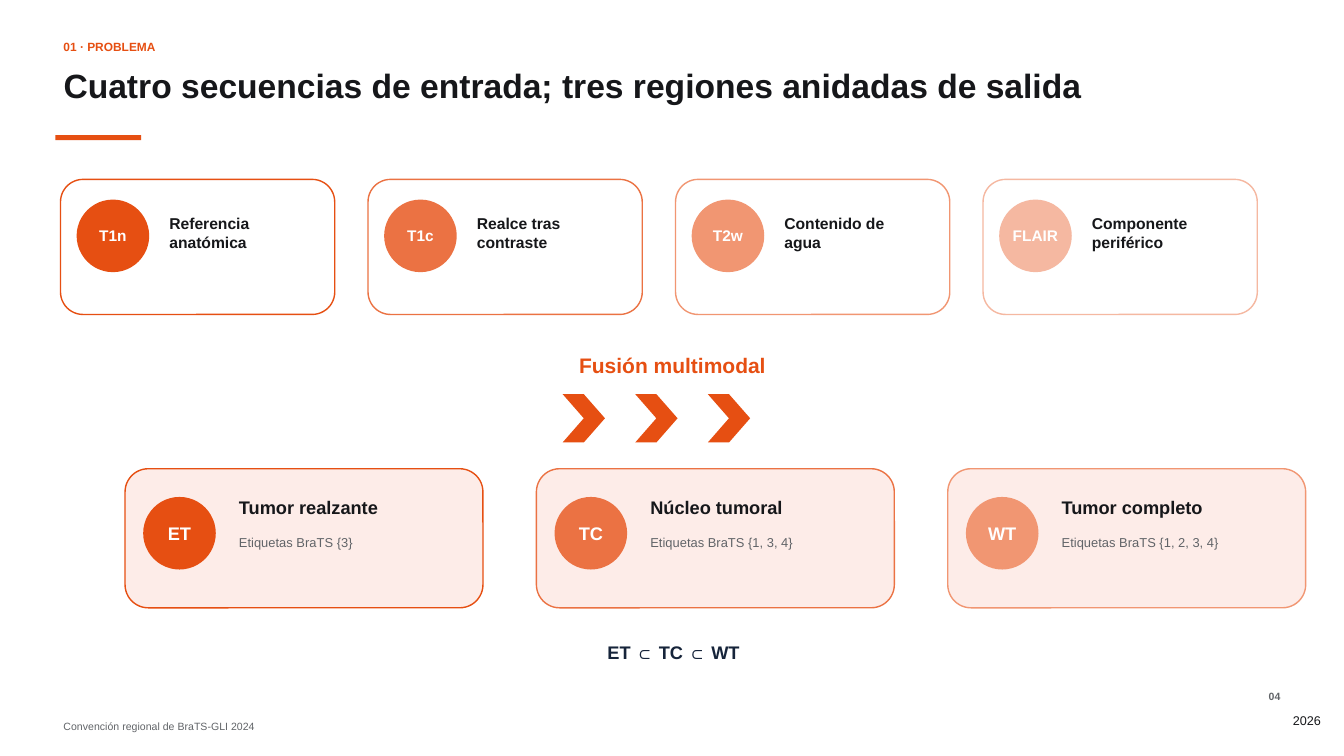
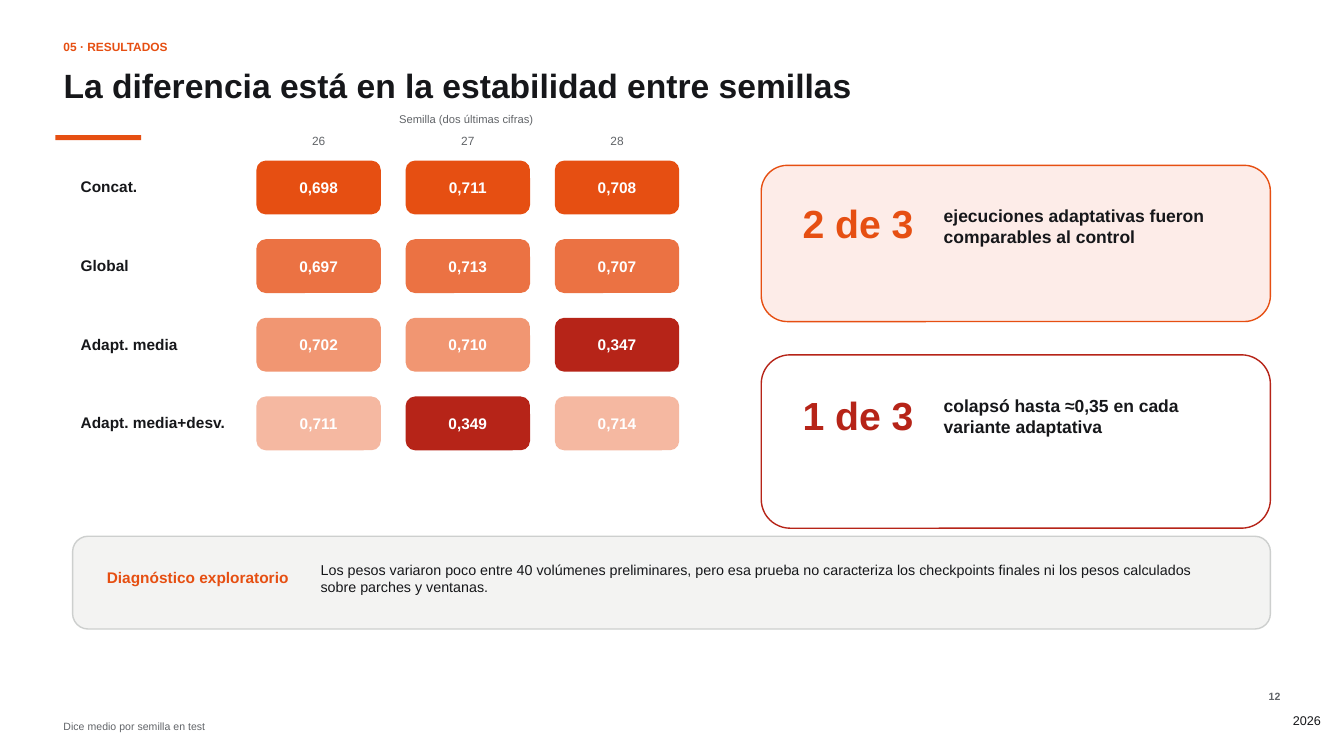
from dataclasses import dataclass

from pptx import Presentation
from pptx.dml.color import RGBColor
from pptx.enum.shapes import MSO_SHAPE
from pptx.enum.text import MSO_ANCHOR, MSO_AUTO_SIZE, PP_ALIGN
from pptx.util import Pt

SCALE = 9144  # EMU in one px, 100 px to the inch
FONT = "Arial"
HEX = {
    "ink": "16171A",
    "navy": "16243A",
    "gray": "616468",
    "edge": "CDCFCE",
    "pale": "F3F3F2",
    "white": "FFFFFF",
    "blush": "FDECE8",
    "red": "B62418",
    "tint1": "E64F12",
    "tint2": "EB7243",
    "tint3": "F19672",
    "tint4": "F5B8A1",
}
TINTS = ["tint1", "tint2", "tint3", "tint4"]
LEFT, MID, RIGHT = PP_ALIGN.LEFT, PP_ALIGN.CENTER, PP_ALIGN.RIGHT


@dataclass(frozen=True)
class Box:
    x: int
    y: int
    w: int
    h: int

    def emu(self) -> list[int]:
        return [n * SCALE for n in (self.x, self.y, self.w, self.h)]


@dataclass(frozen=True)
class Style:
    size: float
    color: str = "ink"
    bold: bool = True
    align: PP_ALIGN = LEFT
    middle: bool = False
    inset: int = 8


@dataclass(frozen=True)
class Input:
    code: str
    label: str


@dataclass(frozen=True)
class Region:
    code: str
    name: str
    tags: str


@dataclass(frozen=True)
class Method:
    name: str
    scores: tuple[float, ...]


@dataclass(frozen=True)
class Finding:
    y: int
    h: int
    count_y: int
    note_y: int
    count: str
    note: str
    color: str
    fill: str


KICKER = Style(8.5, "tint1")
TITLE = Style(24)
FOOT = Style(7.5, "gray", False)
PAGE = Style(7.5, "gray", align=RIGHT)
YEAR = Style(9, bold=False, align=RIGHT, middle=True, inset=0)
LABEL = Style(11)
BADGE = Style(13, "white", align=MID, middle=True, inset=0)
CELL = Style(11, "white", align=MID, middle=True, inset=0)

INPUTS = [
    Input("T1n", "Referencia anatómica"),
    Input("T1c", "Realce tras contraste"),
    Input("T2w", "Contenido de agua"),
    Input("FLAIR", "Componente periférico"),
]
REGIONS = [
    Region("ET", "Tumor realzante", "{3}"),
    Region("TC", "Núcleo tumoral", "{1, 3, 4}"),
    Region("WT", "Tumor completo", "{1, 2, 3, 4}"),
]
SEEDS = ["26", "27", "28"]
METHODS = [
    Method("Concat.", (0.698, 0.711, 0.708)),
    Method("Global", (0.697, 0.713, 0.707)),
    Method("Adapt. media", (0.702, 0.710, 0.347)),
    Method("Adapt. media+desv.", (0.711, 0.349, 0.714)),
]
COLLAPSE = 0.5
FINDINGS = [
    Finding(164, 155, 190, 195, "2 de 3",
            "ejecuciones adaptativas fueron comparables al control",
            "tint1", "blush"),
    Finding(352, 172, 380, 384, "1 de 3",
            "colapsó hasta ≈0,35 en cada variante adaptativa",
            "red", "white"),
]


def rgb(name: str) -> RGBColor:
    return RGBColor.from_string(HEX[name])


def write(shape, text: str, style: Style) -> None:
    frame = shape.text_frame
    frame.word_wrap = True
    frame.vertical_anchor = MSO_ANCHOR.MIDDLE if style.middle else MSO_ANCHOR.TOP
    inset = style.inset * SCALE
    frame.margin_left = frame.margin_right = inset
    frame.margin_top = frame.margin_bottom = inset
    para = frame.paragraphs[0]
    para.alignment = style.align
    run = para.add_run()
    run.text = text
    font = run.font
    font.name, font.size, font.bold = FONT, Pt(style.size), style.bold
    font.color.rgb = rgb(style.color)


def add_text(slide, box: Box, text: str, style: Style):
    shape = slide.shapes.add_textbox(*box.emu())
    write(shape, text, style)
    shape.text_frame.auto_size = MSO_AUTO_SIZE.SHAPE_TO_FIT_TEXT
    return shape


def add_shape(slide, kind: MSO_SHAPE, box: Box, fill: str, line: str = ""):
    shape = slide.shapes.add_shape(kind, *box.emu())
    shape.shadow.inherit = False
    shape.fill.solid()
    shape.fill.fore_color.rgb = rgb(fill)
    if line:
        shape.line.color.rgb = rgb(line)
        shape.line.width = Pt(1)
    else:
        shape.line.fill.background()
    return shape


def add_card(slide, box: Box, fill: str, line: str):
    return add_shape(slide, MSO_SHAPE.ROUNDED_RECTANGLE, box, fill, line)


def add_badge(slide, x: int, y: int, text: str, fill: str, style: Style) -> None:
    disc = add_shape(slide, MSO_SHAPE.OVAL, Box(x, y, 72, 72), fill)
    write(disc, text, style)


def share(slide, layout) -> None:
    """Move the accent bar and the year from the slide to its layout."""
    bar = add_shape(slide, MSO_SHAPE.RECTANGLE, Box(55, 134, 85, 5), "tint1")
    year = add_text(slide, Box(1194, 700, 116, 30), "2026", YEAR)
    for num, shape in enumerate((bar, year), 20):
        shape.element.nvSpPr.cNvPr.id = num
        layout.shapes.element.append(shape.element)


def add_slide(deck, layout, kicker: str, title: str, foot: str, page: str):
    slide = deck.slides.add_slide(layout)
    head = slide.shapes.title
    head.left, head.top, head.width, head.height = Box(55, 56, 1100, 48).emu()
    write(head, title, TITLE)
    head.text_frame.auto_size = MSO_AUTO_SIZE.SHAPE_TO_FIT_TEXT
    add_text(slide, Box(55, 32, 980, 22), kicker, KICKER)
    add_text(slide, Box(55, 708, 1170, 16), foot, FOOT)
    add_text(slide, Box(1248, 678, 30, 18), page, PAGE)
    return slide


def draw_inputs(slide) -> None:
    for col, (item, tint) in enumerate(zip(INPUTS, TINTS)):
        x = 60 + 305 * col
        add_card(slide, Box(x, 178, 272, 134), "white", tint)
        add_badge(slide, x + 16, 198, item.code, tint, CELL)
        add_text(slide, Box(x + 100, 204, 148, 55), item.label, Style(11.2))


def draw_fusion(slide) -> None:
    add_text(slide, Box(472, 345, 390, 35), "Fusión multimodal",
             Style(15, "tint1", align=MID, middle=True))
    for col in range(3):
        add_shape(slide, MSO_SHAPE.CHEVRON, Box(558 + 72 * col, 391, 42, 48), "tint1")


def draw_regions(slide) -> None:
    for col, (item, tint) in enumerate(zip(REGIONS, TINTS)):
        x = 124 + 408 * col
        add_card(slide, Box(x, 465, 355, 138), "blush", tint)
        add_badge(slide, x + 18, 493, item.code, tint, BADGE)
        add_text(slide, Box(x + 105, 484, 215, 30), item.name, Style(13))
        add_text(slide, Box(x + 105, 523, 215, 26), f"Etiquetas BraTS {item.tags}",
                 Style(9.2, "gray", False))
    add_text(slide, Box(538, 632, 260, 30), "ET ⊂ TC ⊂ WT",
             Style(13, "navy", align=MID, middle=True))


def draw_scores(slide) -> None:
    left, step = 255, 148
    add_text(slide, Box(250, 108, 425, 20), "Semilla (dos últimas cifras)",
             Style(8, "gray", False, MID, True))
    for col, seed in enumerate(SEEDS):
        add_text(slide, Box(left + step * col, 130, 122, 20), seed,
                 Style(8.5, "gray", False, MID, True))
    for row, (item, tint) in enumerate(zip(METHODS, TINTS)):
        y = 160 + 78 * row
        add_text(slide, Box(72, y + 8, 175, 30), item.name, LABEL)
        for col, score in enumerate(item.scores):
            fill = "red" if score < COLLAPSE else tint
            cell = add_card(slide, Box(left + step * col, y, 122, 52), fill, fill)
            write(cell, f"{score:.3f}".replace(".", ","), CELL)


def draw_findings(slide) -> None:
    for item in FINDINGS:
        add_card(slide, Box(755, item.y, 505, item.h), item.fill, item.color)
        add_text(slide, Box(788, item.count_y, 142, 52), item.count,
                 Style(28, item.color))
        add_text(slide, Box(928, item.note_y, 292, 72), item.note, Style(12.5))


def draw_verdict(slide) -> None:
    add_card(slide, Box(72, 532, 1188, 92), "pale", "edge")
    add_text(slide, Box(98, 556, 230, 28), "Diagnóstico exploratorio",
             Style(11, "tint1"))
    add_text(slide, Box(310, 549, 908, 44),
             "Los pesos variaron poco entre 40 volúmenes preliminares, pero esa "
             "prueba no caracteriza los checkpoints finales ni los pesos "
             "calculados sobre parches y ventanas.", Style(10.2, bold=False))


def main() -> None:
    deck = Presentation()
    deck.slide_width, deck.slide_height = 1333 * SCALE, 750 * SCALE
    layout = deck.slide_layouts.get_by_name("Title Only")

    slide = add_slide(deck, layout, "01 · PROBLEMA",
                      "Cuatro secuencias de entrada; tres regiones anidadas de salida",
                      "Convención regional de BraTS-GLI 2024", "04")
    share(slide, layout)
    draw_inputs(slide)
    draw_fusion(slide)
    draw_regions(slide)

    slide = add_slide(deck, layout, "05 · RESULTADOS",
                      "La diferencia está en la estabilidad entre semillas",
                      "Dice medio por semilla en test", "12")
    draw_scores(slide)
    draw_findings(slide)
    draw_verdict(slide)
    deck.save("out.pptx")


if __name__ == "__main__":
    main()
